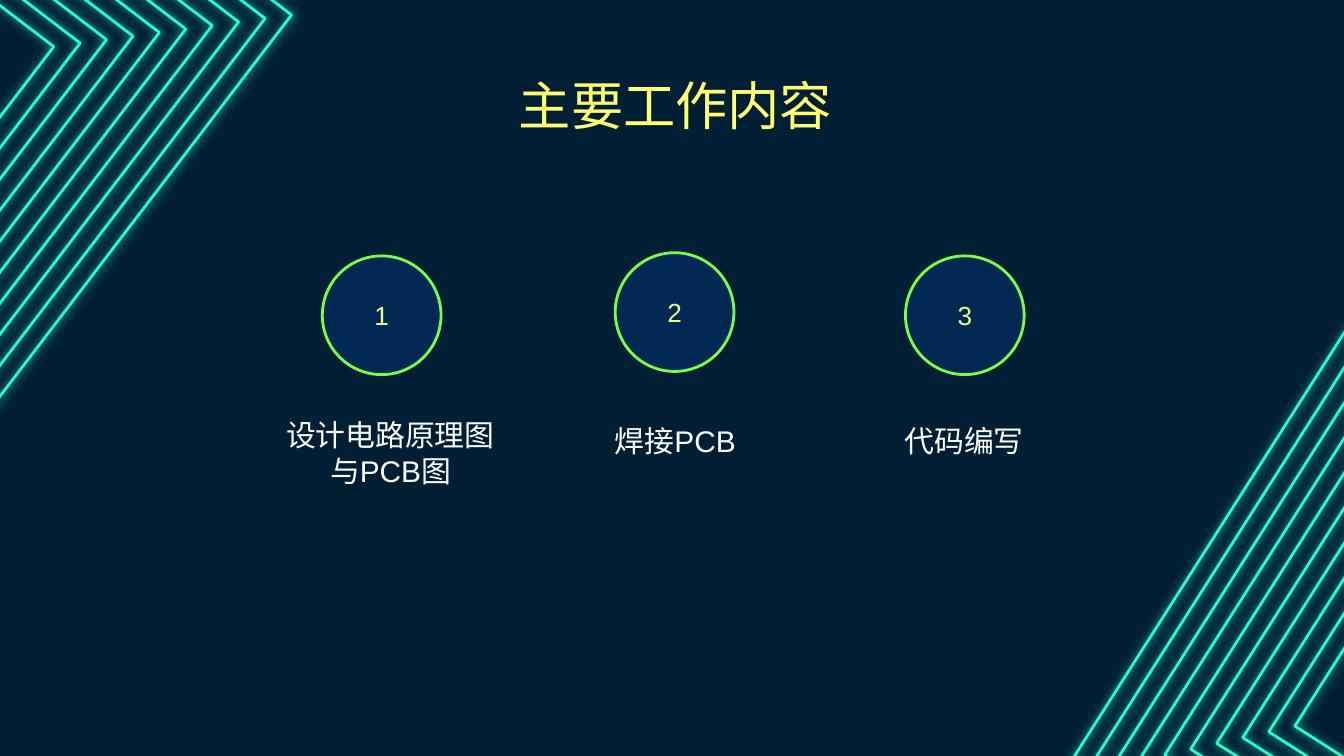
from math import cos, radians, sin
from typing import NamedTuple

from lxml.etree import SubElement
from pptx import Presentation
from pptx.dml.color import RGBColor as RGB
from pptx.enum.shapes import MSO_SHAPE as Shape
from pptx.enum.text import MSO_ANCHOR as Anchor, MSO_AUTO_SIZE as AutoSize, PP_ALIGN as Align
from pptx.oxml.ns import qn
from pptx.util import Pt

COLORS = {
    "background": "001F35", "neon": "1FFFCE", "disc": "012853",
    "ring": "77FF4A", "number": "ECFF8C", "title": "FFFF70", "caption": "FFFFFF",
}
RING_COUNT = 10
RING_RADIUS, RING_STEP = 252.4, 14.28
DISC_SIZE = 63.6
CAPTION_TOP, CAPTION_WIDTH = 220.3, 131.8


class Rings(NamedTuple):
    """Nested diamonds around one centre."""
    x: float
    y: float
    angle: float


class Run(NamedTuple):
    text: str
    font: str


class Task(NamedTuple):
    number: str
    disc_left: float
    disc_top: float
    caption_left: float
    caption_height: float
    runs: tuple[Run, ...]


CORNERS = [Rings(814.6, 362.2, -12.5), Rings(-94, 41.4, -7.6)]
TASKS = [
    Task("1", 172.7, 137.1, 143.3, 44.6,
         (Run("设计电路原理图与", "Lato"), Run("PCB", "Arial"), Run("图", "Lato"))),
    Task("2", 329.6, 135.4, 295.9, 31.7, (Run("焊接", "Lato"), Run("PCB", "Arial"))),
    Task("3", 485.1, 137.1, 450.7, 31.7, (Run("代码编写", "Lato"),)),
]


def rgb(name: str) -> RGB:
    return RGB.from_string(COLORS[name])


def set_text(sp, runs: tuple[Run, ...], size: float, color: str) -> None:
    """Fill a shape with one centred paragraph."""
    tf = sp.text_frame
    tf.word_wrap = True
    tf.auto_size = AutoSize.NONE
    tf.vertical_anchor = Anchor.MIDDLE
    tf.margin_left = tf.margin_right = tf.margin_top = tf.margin_bottom = Pt(7.2)
    p = tf.paragraphs[0]
    p.alignment = Align.CENTER
    p.font.size = Pt(size)
    p.font.color.rgb = rgb(color)
    for run in runs:
        r = p.add_run()
        r.text = run.text
        r.font.name = run.font


def add_glow(sp) -> None:
    """Give the outline a soft, centred shadow in its own colour."""
    sp.shadow.inherit = False
    effects = sp._element.spPr.find(qn("a:effectLst"))
    shadow = SubElement(effects, qn("a:outerShdw"), blurRad=str(Pt(5.6)), dist="0",
                        algn="bl", rotWithShape="0")
    color = SubElement(shadow, qn("a:srgbClr"), val=COLORS["neon"])
    SubElement(color, qn("a:alpha"), val="90000")


def draw_rings(s, rings: Rings) -> None:
    for i in range(RING_COUNT):
        radius = RING_RADIUS - i * RING_STEP
        turns = [radians(rings.angle - 90 * k) for k in range(4)]
        points = [(Pt(rings.x + radius * cos(a)), Pt(rings.y + radius * sin(a)))
                  for a in turns]
        builder = s.shapes.build_freeform(*points[0])
        builder.add_line_segments(points[1:], close=True)
        sp = builder.convert_to_shape()
        sp.fill.background()
        sp.line.color.rgb = rgb("neon")
        sp.line.width = Pt(1.5)
        add_glow(sp)


def draw_task(s, task: Task) -> None:
    disc = s.shapes.add_shape(Shape.OVAL, Pt(task.disc_left), Pt(task.disc_top),
                              Pt(DISC_SIZE), Pt(DISC_SIZE))
    disc.shadow.inherit = False
    disc.fill.solid()
    disc.fill.fore_color.rgb = rgb("disc")
    disc.line.color.rgb = rgb("ring")
    disc.line.width = Pt(1.5)
    set_text(disc, (Run(task.number, "Arial"),), 14, "number")

    caption = s.shapes.add_textbox(Pt(task.caption_left), Pt(CAPTION_TOP),
                                   Pt(CAPTION_WIDTH), Pt(task.caption_height))
    set_text(caption, task.runs, 16, "caption")


def main() -> None:
    prs = Presentation()
    prs.slide_width, prs.slide_height = Pt(720), Pt(405)
    s = prs.slides.add_slide(prs.slide_layouts[5])
    s.background.fill.solid()
    s.background.fill.fore_color.rgb = rgb("background")

    # Neon corners
    for rings in CORNERS:
        draw_rings(s, rings)

    # Numbered tasks
    for task in TASKS:
        draw_task(s, task)

    # Title
    title = s.shapes.title
    title.left, title.top, title.width, title.height = Pt(56.2), Pt(42.5), Pt(611.3), Pt(27.4)
    set_text(title, (Run("主要工作内容", "Arial"),), 28, "title")

    prs.save("out.pptx")


if __name__ == "__main__":
    main()
